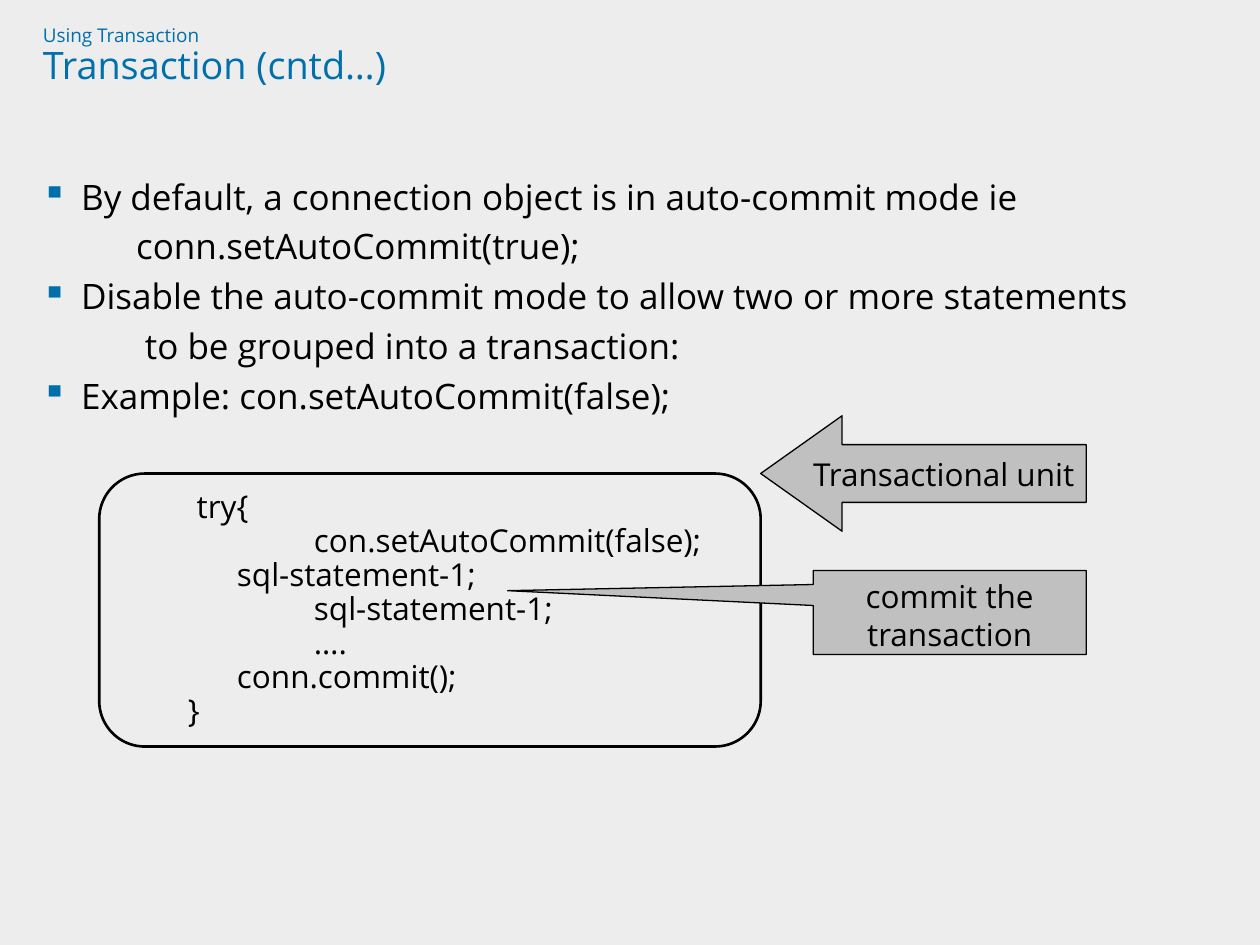
from dataclasses import dataclass
from typing import Optional

from lxml import etree
from pptx import Presentation
from pptx.dml.color import RGBColor
from pptx.enum.shapes import MSO_SHAPE as Shape
from pptx.enum.text import MSO_ANCHOR as Anchor, PP_ALIGN as Align
from pptx.oxml.ns import qn
from pptx.util import Pt

FONT = "Open Sans"
BLACK = RGBColor(0x00, 0x00, 0x00)
BLUE = RGBColor(0x00, 0x70, 0xAD)
GREY = RGBColor(0xC0, 0xC0, 0xC0)
PAPER = RGBColor(0xED, 0xED, 0xED)


@dataclass(frozen=True)
class Line:
    text: str
    indent: float = 0
    bullet: bool = False


@dataclass(frozen=True)
class Box:
    kind: Shape
    left: float
    top: float
    width: float
    height: float
    adjustments: tuple[float, ...]
    lines: tuple[Line, ...]
    fill: Optional[RGBColor] = GREY
    border: float = 0.75
    align: Align = Align.CENTER
    anchor: Anchor = Anchor.MIDDLE
    wrap: bool = True
    spacing: float = 1.0


BODY = (
    Line("By default, a connection object is in auto-commit mode ie", 22.5, True),
    Line("conn.setAutoCommit(true);", 54),
    Line("Disable the auto-commit mode to allow two or more statements", 22.5, True),
    Line("to be grouped into a transaction:", 59),
    Line("Example: con.setAutoCommit(false);", 22.5, True),
)

CODE = (
    Line("try{", 41),
    Line("con.setAutoCommit(false);", 108),
    Line("sql-statement-1;", 64),
    Line("sql-statement-1;", 108),
    Line("….", 108),
    Line("conn.commit();", 64),
    Line("}", 36),
)

BOXES = (
    Box(Shape.ROUNDED_RECTANGLE, 56.7, 270.6, 378, 156, (0.167,), CODE,
        fill=None, border=1.5, align=Align.LEFT, spacing=0.9),
    Box(Shape.LEFT_ARROW, 434.7, 237.6, 186, 66, (0.5, 0.705),
        (Line("Transactional unit"),), wrap=False),
    Box(Shape.RECTANGULAR_CALLOUT, 464.7, 326, 156, 48, (-1.62, -0.26),
        (Line("commit the transaction"),), anchor=Anchor.TOP),
)


def style_run(r, size: float, color: RGBColor) -> None:
    r.font.name = FONT
    r.font.size = Pt(size)
    r.font.color.rgb = color


def add_bullet(p, hang: float) -> None:
    pPr = p._p.get_or_add_pPr()
    pPr.set("indent", str(-Pt(hang)))
    color = etree.SubElement(pPr, qn("a:buClr"))
    etree.SubElement(color, qn("a:srgbClr"), val=str(BLUE))
    etree.SubElement(pPr, qn("a:buChar"), char="▪")


def write_lines(tf, lines: tuple[Line, ...], size: float, align: Align,
                spacing: float = 1.0, after: float = 0) -> None:
    tf.text = "\n".join(line.text for line in lines)
    for p, line in zip(tf.paragraphs, lines):
        p.alignment = align
        p.line_spacing = spacing
        p.space_after = Pt(after)
        p._p.get_or_add_pPr().set("marL", str(Pt(line.indent)))
        if line.bullet:
            add_bullet(p, line.indent)
        for r in p.runs:
            style_run(r, size, BLACK)


def add_text_frame(s, left: float, top: float, width: float, height: float):
    """Add a wrapping text box without insets and return its text frame."""
    tf = s.shapes.add_textbox(Pt(left), Pt(top), Pt(width), Pt(height)).text_frame
    tf.word_wrap = True
    tf.margin_left = tf.margin_right = tf.margin_top = tf.margin_bottom = 0
    return tf


def add_title(s) -> None:
    p = add_text_frame(s, 24.5, 15.1, 654.5, 36).paragraphs[0]
    p.text = "Using Transaction\vTransaction (cntd…)"
    p.line_spacing = 0.9
    for r, size in zip(p.runs, (10.8, 21.6)):
        style_run(r, size, BLUE)


def add_box(s, box: Box) -> None:
    sp = s.shapes.add_shape(box.kind, Pt(box.left), Pt(box.top),
                            Pt(box.width), Pt(box.height))
    sp.shadow.inherit = False
    for i, value in enumerate(box.adjustments):
        sp.adjustments[i] = value
    if box.fill is None:
        sp.fill.background()
    else:
        sp.fill.solid()
        sp.fill.fore_color.rgb = box.fill
    sp.line.color.rgb = BLACK
    sp.line.width = Pt(box.border)
    tf = sp.text_frame
    tf.word_wrap = box.wrap
    tf.vertical_anchor = box.anchor
    write_lines(tf, box.lines, 18, box.align, box.spacing)


def main() -> None:
    prs = Presentation()
    prs.slide_width, prs.slide_height = Pt(720), Pt(540)
    s = prs.slides.add_slide(prs.slide_layouts[6])
    s.background.fill.solid()
    s.background.fill.fore_color.rgb = PAPER
    add_title(s)
    write_lines(add_text_frame(s, 23.8, 100, 674, 384), BODY, 20, Align.LEFT, after=4.5)
    for box in BOXES:
        add_box(s, box)
    prs.save("out.pptx")


if __name__ == "__main__":
    main()
